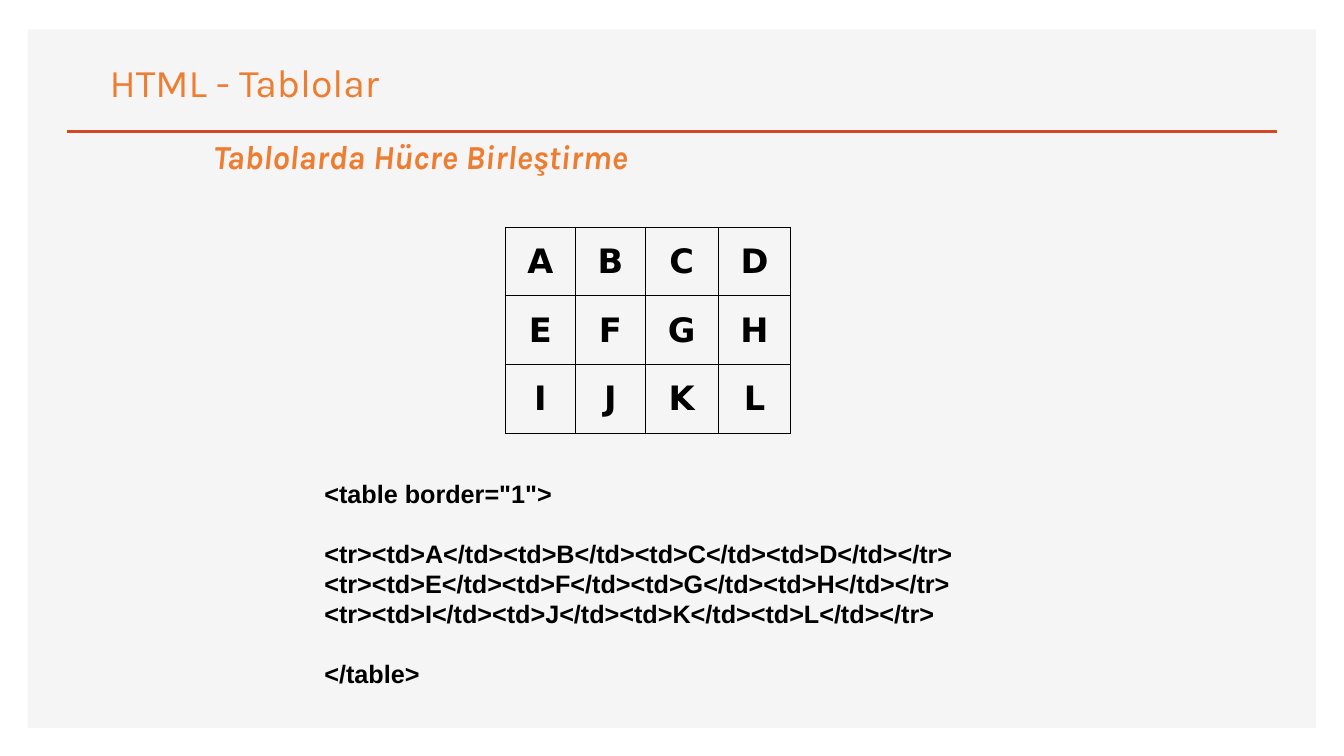
from lxml import etree
from pptx import Presentation
from pptx.dml.color import RGBColor
from pptx.enum.shapes import MSO_CONNECTOR, MSO_SHAPE
from pptx.enum.text import MSO_ANCHOR, MSO_AUTO_SIZE, PP_ALIGN
from pptx.oxml import parse_xml
from pptx.oxml.ns import nsdecls, qn
from pptx.util import Pt

RECTANGLE = MSO_SHAPE.RECTANGLE
STRAIGHT = MSO_CONNECTOR.STRAIGHT
TOP, MIDDLE = MSO_ANCHOR.TOP, MSO_ANCHOR.MIDDLE
CENTER = PP_ALIGN.CENTER
GROW = MSO_AUTO_SIZE.SHAPE_TO_FIT_TEXT

COLORS = {
    "panel": "F5F5F5",
    "rule": "D24726",
    "heading": "ED7D31",
    "ink": "000000",
}

LETTER_ROWS = ["ABCD", "EFGH", "IJKL"]
COLUMN_WIDTHS = [50, 50, 52, 52]
ROW_HEIGHT = 49.2
BORDER_WIDTH = 0.75

CODE_BLOCKS = [
    '<table border="1">',
    "<tr><td>A</td><td>B</td><td>C</td><td>D</td></tr>\n"
    "<tr><td>E</td><td>F</td><td>G</td><td>H</td></tr>\n"
    "<tr><td>I</td><td>J</td><td>K</td><td>L</td></tr>",
    "</table>",
]
CODE_GAP = 21


def color(name):
    return RGBColor.from_string(COLORS[name])


def format_runs(para, font_name, size, color_name, bold=False, italic=False):
    for span in para.runs:
        font = span.font
        font.name = font_name
        font.size = Pt(size)
        font.bold = bold
        font.italic = italic
        font.color.rgb = color(color_name)


def add_panel(page, left, top, width, height):
    panel = page.shapes.add_shape(
        RECTANGLE, Pt(left), Pt(top), Pt(width), Pt(height))
    panel.shadow.inherit = False
    panel.fill.solid()
    panel.fill.fore_color.rgb = color("panel")
    panel.line.fill.background()


def add_rule(page, left, right, y):
    rule = page.shapes.add_connector(
        STRAIGHT, Pt(left), Pt(y), Pt(right), Pt(y))
    rule.line.color.rgb = color("rule")
    rule.line.width = Pt(2)
    etree.SubElement(rule._element.spPr, qn("a:effectLst"))


def add_text(page, left, top, width, height, blocks, gap=0, wrap=False,
             anchor=TOP, **style):
    """Add a text box with one paragraph per block, gap points apart."""
    box = page.shapes.add_textbox(Pt(left), Pt(top), Pt(width), Pt(height))
    frame = box.text_frame
    frame.word_wrap = wrap
    frame.auto_size = GROW
    frame.vertical_anchor = anchor
    for index, block in enumerate(blocks):
        para = frame.add_paragraph() if index else frame.paragraphs[0]
        para.text = block
        if index:
            para.space_before = Pt(gap)
        format_runs(para, **style)


def set_borders(cell):
    properties = cell._tc.get_or_add_tcPr()
    for position, side in enumerate(("lnL", "lnR", "lnT", "lnB")):
        border = parse_xml(
            f'<a:{side} {nsdecls("a")} w="{Pt(BORDER_WIDTH)}"><a:solidFill>'
            f'<a:srgbClr val="{COLORS["ink"]}"/></a:solidFill></a:{side}>')
        properties.insert(position, border)


def add_letter_table(page, left, top):
    frame = page.shapes.add_table(
        len(LETTER_ROWS), len(COLUMN_WIDTHS), Pt(left), Pt(top),
        Pt(sum(COLUMN_WIDTHS)), Pt(ROW_HEIGHT * len(LETTER_ROWS)))
    table = frame.table
    table.first_row = False
    table.horz_banding = False
    for column, width in zip(table.columns, COLUMN_WIDTHS):
        column.width = Pt(width)
    for row, letters in zip(table.rows, LETTER_ROWS):
        row.height = Pt(ROW_HEIGHT)
        for cell, letter in zip(row.cells, letters):
            cell.fill.background()
            cell.vertical_anchor = MIDDLE
            para = cell.text_frame.paragraphs[0]
            para.text = letter
            para.alignment = CENTER
            format_runs(para, "DejaVu Sans", 24, "ink", bold=True)
            set_borders(cell)


def main():
    deck = Presentation()
    deck.slide_width = Pt(960)
    deck.slide_height = Pt(540)
    page = deck.slides.add_slide(deck.slide_layouts[6])

    add_panel(page, 20, 21, 920, 499)
    add_rule(page, 47.7, 912.3, 94)
    add_text(page, 145.4, 93.6, 360, 36, ["Tablolarda Hücre Birleştirme"],
             font_name="Karla", size=24, color_name="heading",
             bold=True, italic=True)
    add_letter_table(page, 361, 162.2)
    add_text(page, 224.6, 337.7, 527, 158.4, CODE_BLOCKS, gap=CODE_GAP,
             wrap=True, anchor=MIDDLE,
             font_name="Arial", size=18, color_name="ink", bold=True)
    add_text(page, 71.3, 38.2, 212.4, 41, ["HTML - Tablolar"],
             font_name="Karla", size=28, color_name="heading")

    deck.save("out.pptx")


if __name__ == "__main__":
    main()
